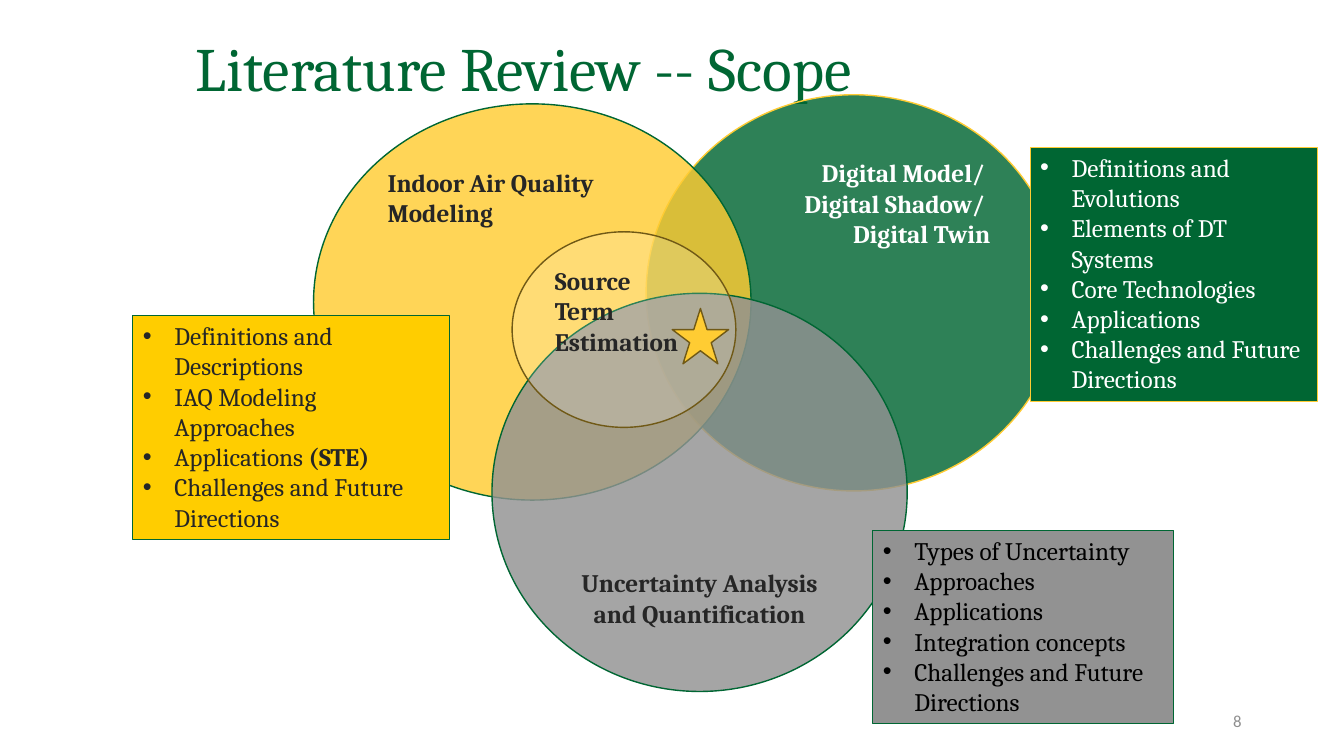
"""Build the literature review scope slide: a Venn diagram with topic boxes."""
from dataclasses import dataclass

import pptx
import pptx.dml.color
import pptx.enum.shapes
import pptx.enum.text
import pptx.oxml.ns
import pptx.util
from lxml import etree

Pt = pptx.util.Pt
Kind = pptx.enum.shapes.MSO_SHAPE
Align = pptx.enum.text.PP_ALIGN
Anchor = pptx.enum.text.MSO_ANCHOR
AutoSize = pptx.enum.text.MSO_AUTO_SIZE


@dataclass(frozen=True)
class Theme:
    """Colours, fonts and type sizes of the slide."""
    green: str = "006633"
    gold: str = "FFCC33"
    yellow: str = "FFCD00"
    gray: str = "929292"
    brown: str = "705916"
    ink: str = "262626"
    white: str = "FFFFFF"
    black: str = "000000"
    number: str = "8E8E8E"
    font: str = "Cambria"
    number_font: str = "Calibri"
    title_size: int = 44
    body_size: int = 18
    number_size: int = 12


THEME = Theme()


def rgb(colour):
    """Turn a hex string into a colour."""
    return pptx.dml.color.RGBColor.from_string(colour)


def place(box, left, top, width, height):
    """Move and size a box, in points."""
    box.left, box.top, box.width, box.height = map(Pt, (left, top, width, height))


def add_bullet(para, indent=22.5):
    """Give a paragraph a hanging bullet."""
    properties = para._p.get_or_add_pPr()
    properties.set("marL", str(Pt(indent)))
    properties.set("indent", str(-Pt(indent)))
    for tag, name, value in (("a:buFont", "typeface", "Arial"), ("a:buChar", "char", "•")):
        etree.SubElement(properties, pptx.oxml.ns.qn(tag)).set(name, value)


def write(box, lines, *, size=THEME.body_size, colour=THEME.ink, font=THEME.font,
          bold=False, align=Align.LEFT, anchor=Anchor.TOP, bullets=False,
          spacing=None, fit=AutoSize.NONE):
    """Fill a box with lines; a tuple line holds a plain part and a bold part."""
    frame = box.text_frame
    frame.word_wrap = True
    frame.auto_size = fit
    frame.vertical_anchor = anchor
    for index, line in enumerate(lines):
        para = frame.add_paragraph() if index else frame.paragraphs[0]
        para.alignment = align
        if spacing:
            para.line_spacing = spacing
        if bullets:
            add_bullet(para)
        parts = line if isinstance(line, tuple) else (line,)
        for position, part in enumerate(parts):
            span = para.add_run()
            span.text = part
            span.font.name = font
            span.font.size = Pt(size)
            span.font.bold = bold or position > 0
            span.font.color.rgb = rgb(colour)


def add_figure(slide, kind, place_at, fill, line, weight=1, opacity=100):
    """Add a filled and outlined preset shape."""
    shape = slide.shapes.add_shape(kind, *map(Pt, place_at))
    shape.shadow.inherit = False
    shape.fill.solid()
    shape.fill.fore_color.rgb = rgb(fill)
    shape.line.color.rgb = rgb(line)
    shape.line.width = Pt(weight)
    if opacity < 100:
        colour = shape._element.spPr.find(".//" + pptx.oxml.ns.qn("a:srgbClr"))
        etree.SubElement(colour, pptx.oxml.ns.qn("a:alpha")).set("val", str(opacity * 1000))
    return shape


def add_circle(slide, place_at, fill, line, lines, opacity=82, **text_format):
    """Add a translucent Venn circle with its bold label."""
    circle = add_figure(slide, Kind.OVAL, place_at, fill, line, opacity=opacity)
    write(circle, lines, bold=True, **text_format)


def add_topics(slide, place_at, fill, line, topics, colour):
    """Add a box of bulleted topics."""
    box = add_figure(slide, Kind.RECTANGLE, place_at, fill, line, weight=0.75)
    write(box, topics, colour=colour, bullets=True, fit=AutoSize.SHAPE_TO_FIT_TEXT)


def main():
    """Build and save the deck."""
    deck = pptx.Presentation()
    deck.slide_width, deck.slide_height = Pt(960), Pt(540)
    slide = deck.slides.add_slide(deck.slide_layouts[5])

    title = slide.shapes.title
    place(title, 132.5, 10, 786, 68.5)
    write(title, ["Literature Review -- Scope"], size=THEME.title_size,
          colour=THEME.green, anchor=Anchor.BOTTOM, spacing=0.9)

    number = slide.shapes.add_textbox(Pt(678), Pt(500.5), Pt(216), Pt(29))
    write(number, ["8"], size=THEME.number_size, colour=THEME.number,
          font=THEME.number_font, align=Align.RIGHT, anchor=Anchor.MIDDLE)

    add_circle(slide, (461.5, 67.7, 296.6, 283), THEME.green, THEME.gold,
               ["Digital Model/ ", "Digital Shadow/ ", "Digital Twin"],
               colour=THEME.white, align=Align.RIGHT)
    add_circle(slide, (224, 74.2, 312.5, 283), THEME.gold, THEME.green,
               ["Indoor Air Quality Modeling"])
    add_circle(slide, (351.4, 209.5, 296.6, 284.4), THEME.gray, THEME.green,
               ["Uncertainty Analysis and Quantification"],
               align=Align.CENTER, anchor=Anchor.BOTTOM)
    add_circle(slide, (365.8, 165.6, 159.8, 139.7), THEME.white, THEME.brown,
               ["Source", "Term Estimation"], opacity=18)
    add_figure(slide, Kind.STAR_5_POINT, (480.2, 220.3, 40.3, 39.6),
               THEME.gold, THEME.brown)

    future = "Challenges and Future Directions"
    add_topics(slide, (95, 225.4, 226, 159.8), THEME.yellow, THEME.green,
               ["Definitions and Descriptions", "IAQ Modeling Approaches",
                ("Applications ", "(STE)"), future], THEME.ink)
    add_topics(slide, (735.8, 105.1, 205.2, 181.4), THEME.green, THEME.gold,
               ["Definitions and Evolutions", "Elements of DT Systems",
                "Core Technologies", "Applications", future], THEME.white)
    add_topics(slide, (623.5, 378.7, 214.6, 138.2), THEME.gray, THEME.green,
               ["Types of Uncertainty", "Approaches", "Applications",
                "Integration concepts", future], THEME.black)

    deck.save("out.pptx")


if __name__ == "__main__":
    main()
